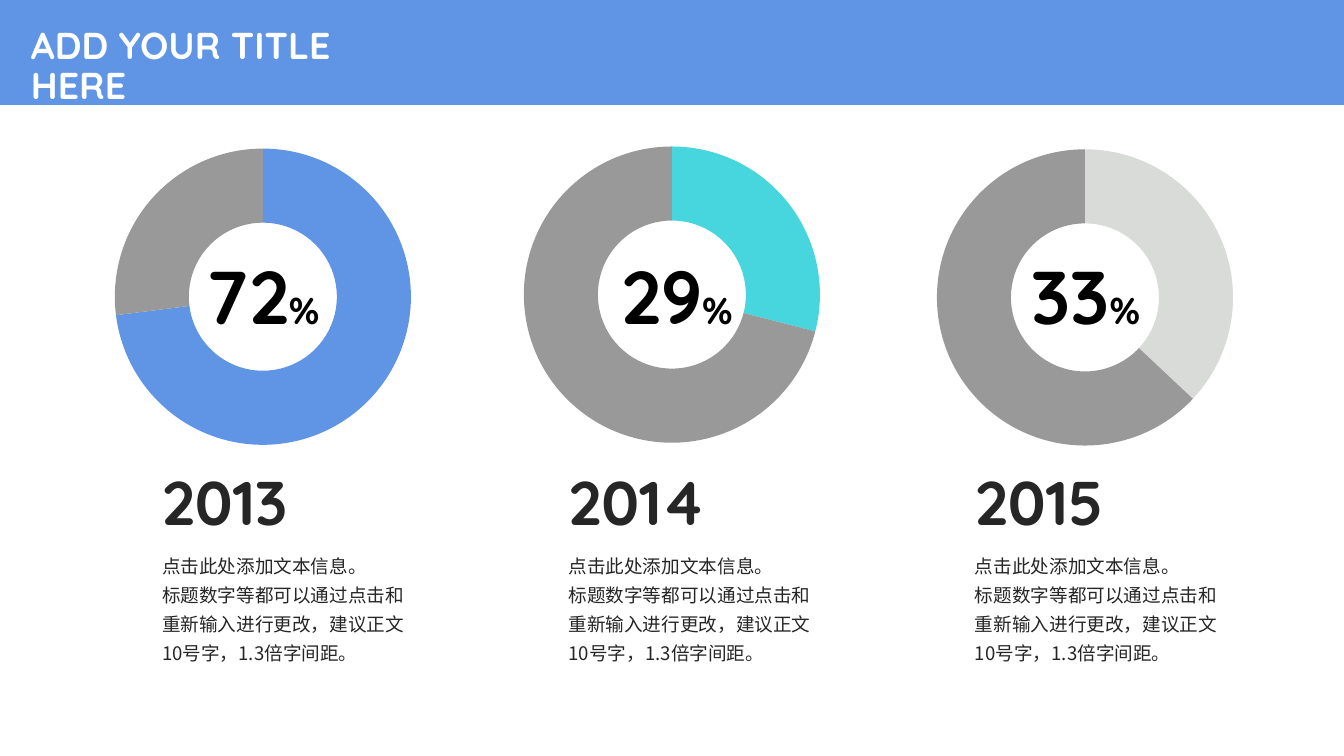
import pptx
import pptx.chart.data
import pptx.enum.chart
import pptx.enum.shapes
import pptx.enum.text
import pptx.dml.color
import pptx.oxml
import pptx.oxml.ns
import pptx.util
from dataclasses import dataclass

Pt = pptx.util.Pt
Align = pptx.enum.text.PP_ALIGN


@dataclass(frozen=True)
class Theme:
    blue: str = "6095E5"
    teal: str = "47D6DD"
    pale: str = "D8DBD8"
    gray: str = "999999"
    white: str = "FFFFFF"
    black: str = "000000"
    ink: str = "262626"
    head: str = "Quicksand"
    body: str = "Noto Sans CJK SC"
    title: float = 26.7
    big: float = 53.3
    year: float = 44
    note: float = 13.3
    chart: float = 10


theme = Theme()
NOTE = ("点击此处添加文本信息。",
        "标题数字等都可以通过点击和重新输入进行更改，建议正文10号字，1.3倍字间距。")
LAYOUT = """<c:layout %s><c:manualLayout><c:layoutTarget val="inner"/>
<c:xMode val="edge"/><c:yMode val="edge"/><c:x val="0.195"/><c:y val="0.04"/>
<c:w val="0.61"/><c:h val="0.92"/></c:manualLayout></c:layout>"""


def color(code):
    return pptx.dml.color.RGBColor.from_string(code)


def style(run, face, size, code, bold=True):
    font = run.font
    font.name, font.size, font.bold = face, Pt(size), bold
    font.color.rgb = color(code)
    if face == theme.body:
        east = pptx.oxml.parse_xml(
            f'<a:ea {pptx.oxml.ns.nsdecls("a")} typeface="{face}"/>')
        font._element.find(pptx.oxml.ns.qn("a:latin")).addnext(east)


def add_text(slide, box, lines, face, size, code, bold=True, wrap=True, space=None):
    frame = slide.shapes.add_textbox(*map(Pt, box)).text_frame
    frame.word_wrap = wrap
    frame.text = "\n".join(lines)
    for para in frame.paragraphs:
        para.line_spacing = space
        for run in para.runs:
            style(run, face, size, code, bold)
    return frame


def add_head(slide, box):
    left, top, width, height = box
    band = slide.shapes.add_shape(
        pptx.enum.shapes.MSO_SHAPE.RECTANGLE, *map(Pt, box))
    band.shadow.inherit = False
    band.fill.solid()
    band.fill.fore_color.rgb = color(theme.blue)
    band.line.fill.background()
    add_text(slide, (left + 15, top + 16, 289, 42), ["ADD YOUR TITLE HERE"],
             theme.head, theme.title, theme.white, space=0.9)


def add_ring(slide, box, value, code):
    data = pptx.chart.data.CategoryChartData()
    data.categories = ["1", "2"]
    data.add_series("Series 1", (value, 100 - value))
    chart = slide.shapes.add_chart(
        pptx.enum.chart.XL_CHART_TYPE.DOUGHNUT, *map(Pt, box), data).chart
    chart.has_legend = chart.has_title = False
    chart.font.name, chart.font.size = theme.head, Pt(theme.chart)
    chart.font.color.rgb = color(theme.black)
    plot = chart.plots[0]
    plot.vary_by_categories = True
    for spot, tint in enumerate((code, theme.gray)):
        part = plot.series[0].points[spot].format
        part.fill.solid()
        part.fill.fore_color.rgb = color(tint)
        part.line.fill.background()
    qn = pptx.oxml.ns.qn
    root = chart._chartSpace
    root.find(".//" + qn("c:holeSize")).set("val", "75")
    area = root.find(".//" + qn("c:plotArea"))
    old = area.find(qn("c:layout"))
    if old is not None:
        area.remove(old)
    area.insert(0, pptx.oxml.parse_xml(LAYOUT % pptx.oxml.ns.nsdecls("c")))


def add_share(slide, box, share):
    frame = add_text(slide, box, [share], theme.head, theme.big, theme.black)
    para = frame.paragraphs[0]
    para.alignment = Align.CENTER
    sign = para.add_run()
    sign.text = "%"
    style(sign, theme.head, theme.title, theme.black)


def add_year(slide, box, year, share, value, code, ring, label):
    left, top, width, height = box
    add_ring(slide, (left + ring[0], top + ring[1], 347, 231), value, code)
    add_share(slide, (left + label, top + 80, 111, 72), share)
    add_text(slide, (left, top + 232.5, 114, 60), [year],
             theme.head, theme.year, theme.ink, wrap=False)
    add_text(slide, (left, top + 293, width, height - 293), NOTE,
             theme.body, theme.note, theme.ink, bold=False, space=1.3)


def main():
    deck = pptx.Presentation()
    deck.slide_width, deck.slide_height = Pt(960.5), Pt(540)
    slide = deck.slides.add_slide(deck.slide_layouts[6])
    add_head(slide, (0, 0, 960.5, 75))
    years = (
        ("2013", "72", 73, theme.blue, (-94.3, 1.5), 23.8),
        ("2014", "29", 29, theme.teal, (-92.5, 0), 29.2),
        ("2015", "33", 37, theme.pale, (-87.8, 2), 31),
    )
    for index, facts in enumerate(years):
        add_year(slide, (108.7 + index * 290.5, 95, 195, 384.5), *facts)
    deck.save("out.pptx")


if __name__ == "__main__":
    main()
